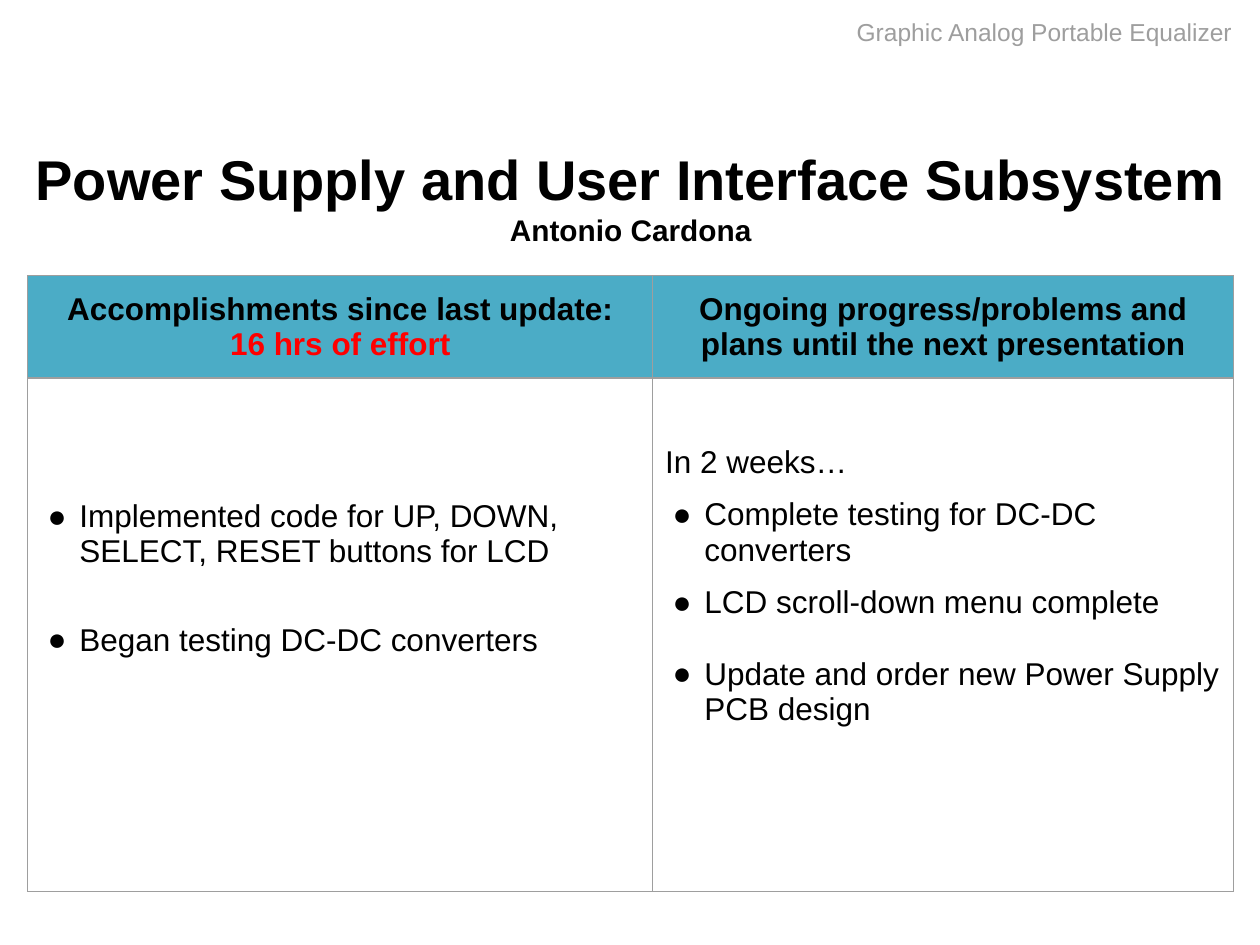
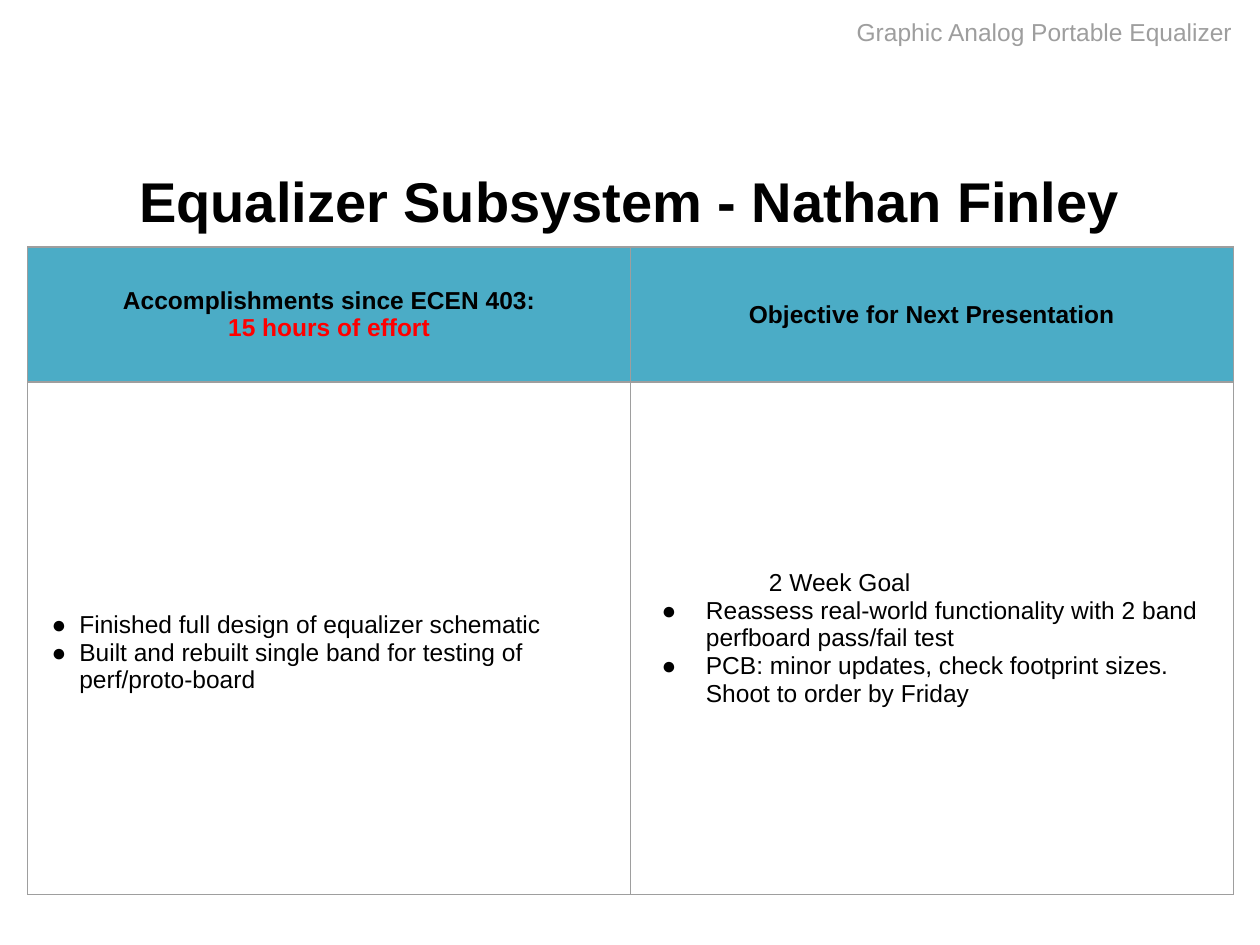
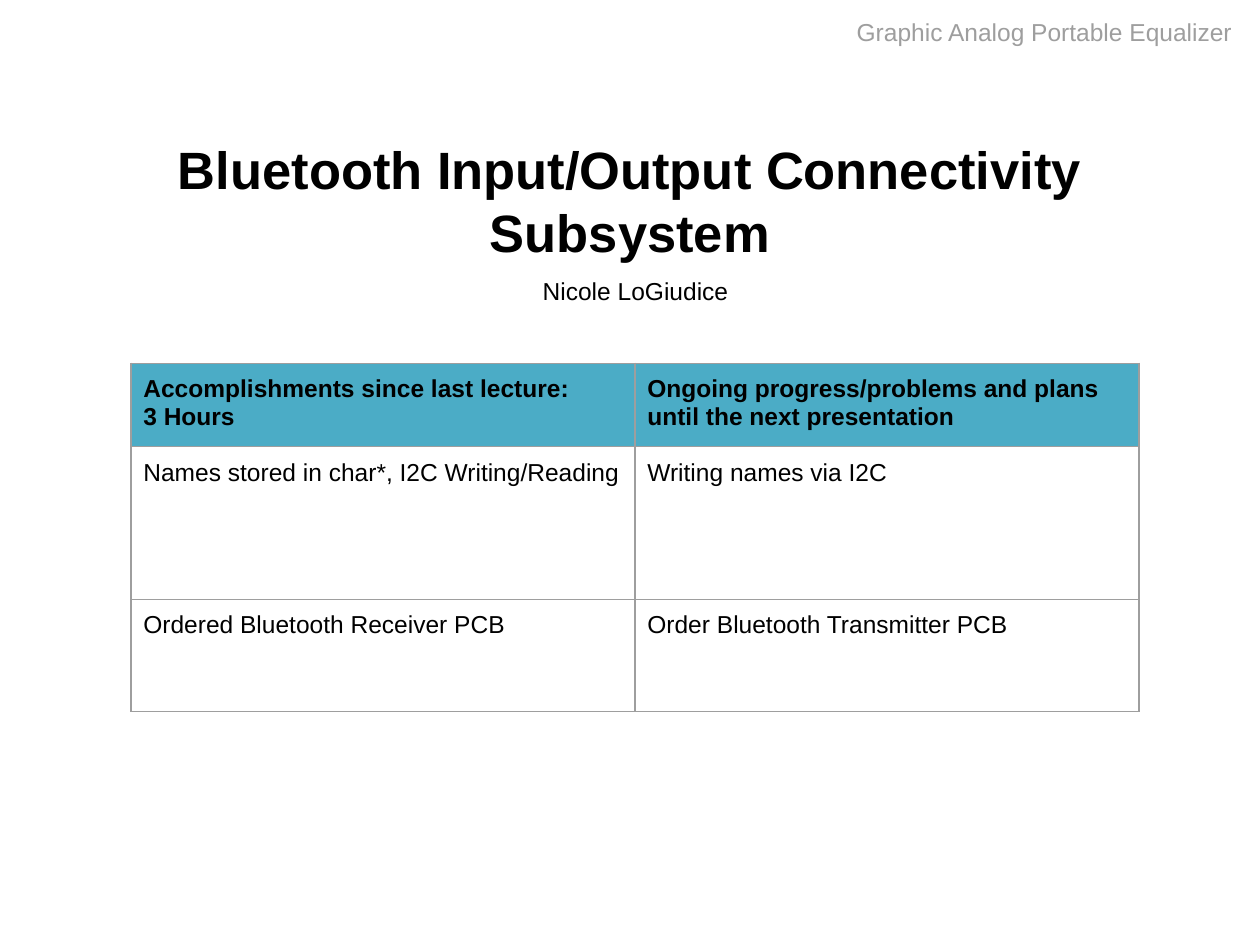
"""Builds the three subsystem progress slides of the equalizer project."""
from lxml.etree import SubElement
from pptx import Presentation
from pptx.dml.color import RGBColor
from pptx.enum.text import MSO_ANCHOR as Anchor, PP_ALIGN as Align
from pptx.oxml.ns import qn
from pptx.util import Cm, Pt

FONT = "Arial"
BLACK, GRAY, RED, TEAL = "000000", "9E9E9E", "FF0000", "4BACC6"
PROJECT = "Graphic Analog Portable Equalizer"
PAD = 0.25
WIDE = dict(left=0.79, hang=0.64, bullet=True)
TIGHT = dict(left=0.79, hang=0.56, bullet=True)
DEEP = dict(left=1.27, hang=0.89, bullet=True)

SLIDES = [
    dict(
        title=["Power Supply and User Interface Subsystem",
               ("Antonio Cardona", dict(size=17))],
        title_at=(0.46, 2.84, 24.51, 2.24), title_size=32,
        table_at=(0.56, 5.56), cols=[12.6, 11.71], rows=[2.06, 10.36],
        size=18, head=dict(align=Align.CENTER, anchor=Anchor.MIDDLE),
        body=dict(anchor=Anchor.TOP), tops=[2.43, 1.34],
        cells=[
            [["Accomplishments since last update:",
              ("16 hrs of effort", dict(color=RED))],
             ["Ongoing progress/problems and plans until the next presentation"]],
            [[("Implemented code for UP, DOWN, SELECT, RESET buttons for LCD", WIDE),
              ("Began testing DC-DC converters", dict(WIDE, before=30.5))],
             ["In 2 weeks…",
              ("Complete testing for DC-DC converters", dict(WIDE, before=10)),
              ("LCD scroll-down menu complete", dict(WIDE, before=10)),
              ("Update and order new Power Supply PCB design",
               dict(WIDE, before=20.5))]],
        ],
    ),
    dict(
        title=["Equalizer Subsystem - Nathan Finley"],
        title_at=(1.27, 2.92, 22.86, 2.24), title_size=32,
        table_at=(0.56, 4.98), cols=[12.15, 12.15], rows=[2.72, 10.34],
        size=14, head=dict(align=Align.CENTER, anchor=Anchor.MIDDLE),
        body=dict(anchor=Anchor.MIDDLE), tops=[0.82, PAD],
        cells=[
            [["Accomplishments since ECEN 403:",
              ("15 hours of effort", dict(color=RED))],
             ["Objective for Next Presentation"]],
            [[("Finished full design of equalizer schematic", TIGHT),
              ("Built and rebuilt single band for testing of perf/proto-board", TIGHT)],
             [("2 Week Goal", dict(left=2.54)),
              ("Reassess real-world functionality with 2 band perfboard pass/fail test",
               DEEP),
              ("PCB: minor updates, check footprint sizes. Shoot to order by Friday",
               DEEP)]],
        ],
    ),
    dict(
        title=["Bluetooth Input/Output Connectivity Subsystem"],
        title_at=(1.27, 2.92, 22.86, 2.24), title_size=30,
        author="Nicole LoGiudice", author_at=(10.69, 5.31, 6.12, 1.12),
        table_at=(2.64, 7.32), cols=[10.16, 10.16], rows=[1.47, 3.07, 2.26],
        size=14, head=dict(anchor=Anchor.TOP),
        body=dict(anchor=Anchor.TOP), tops=[PAD, PAD],
        cells=[
            [["Accomplishments since last lecture:", "3 Hours"],
             ["Ongoing progress/problems and plans until the next presentation"]],
            [["Names stored in char*, I2C Writing/Reading"],
             ["Writing names via I2C"]],
            [["Ordered Bluetooth Receiver PCB"],
             ["Order Bluetooth Transmitter PCB"]],
        ],
    ),
]


def rgb(color):
    return RGBColor.from_string(color)


def write_line(p, text, size=14, color=BLACK, bold=False, align=Align.LEFT,
               before=0, left=0, hang=0, bullet=False):
    pPr = p._p.get_or_add_pPr()
    pPr.set("marL", str(Cm(left)))
    pPr.set("indent", str(-Cm(hang)))
    if bullet:
        SubElement(SubElement(pPr, qn("a:buClr")), qn("a:srgbClr"), val=BLACK)
        SubElement(pPr, qn("a:buFont"), typeface=FONT)
        SubElement(pPr, qn("a:buChar"), char="●")
    p.alignment = align
    p.space_before = Pt(before)
    r = p.add_run()
    r.text = text
    r.font.name, r.font.size, r.font.bold = FONT, Pt(size), bold
    r.font.color.rgb = rgb(color)


def write(tf, lines, **fmt):
    for i, line in enumerate(lines):
        text, own = (line, {}) if isinstance(line, str) else line
        p = tf.add_paragraph() if i else tf.paragraphs[0]
        write_line(p, text, **{**fmt, **own})


def add_text(s, at, lines, anchor=Anchor.TOP, pad=PAD, **fmt):
    tf = s.shapes.add_textbox(*map(Cm, at)).text_frame
    tf.word_wrap, tf.vertical_anchor = True, anchor
    tf.margin_left = tf.margin_right = Cm(PAD)
    tf.margin_top = tf.margin_bottom = Cm(pad)
    write(tf, lines, **fmt)


def style_cell(cell, fill, anchor, top):
    cell.vertical_anchor = anchor
    cell.margin_left = cell.margin_right = cell.margin_bottom = Cm(PAD)
    cell.margin_top = Cm(top)
    tcPr = cell._tc.get_or_add_tcPr()
    for side in ("a:lnL", "a:lnR", "a:lnT", "a:lnB"):
        ln = SubElement(tcPr, qn(side), w=str(Pt(0.75)))
        SubElement(SubElement(ln, qn("a:solidFill")), qn("a:srgbClr"), val=GRAY)
    if fill:
        cell.fill.solid()
        cell.fill.fore_color.rgb = rgb(fill)
    else:
        cell.fill.background()


def add_progress_table(s, d):
    cols, rows = d["cols"], d["rows"]
    at = (*d["table_at"], sum(cols), sum(rows))
    table = s.shapes.add_table(len(rows), len(cols), *map(Cm, at)).table
    table.first_row = table.horz_banding = False
    for col, width in zip(table.columns, cols):
        col.width = Cm(width)
    for i, (row, height) in enumerate(zip(table.rows, rows)):
        row.height = Cm(height)
        is_head = i == 0
        look = d["head"] if is_head else d["body"]
        for j, cell in enumerate(row.cells):
            style_cell(cell, TEAL if is_head else None, look["anchor"],
                       PAD if is_head else d["tops"][j])
            write(cell.text_frame, d["cells"][i][j], size=d["size"],
                  bold=is_head, align=look.get("align", Align.LEFT))


def main():
    prs = Presentation()
    prs.slide_width, prs.slide_height = Cm(25.4), Cm(19.05)
    for d in SLIDES:
        s = prs.slides.add_slide(prs.slide_layouts[6])
        add_text(s, d["title_at"], d["title"], anchor=Anchor.MIDDLE, pad=0.13,
                 size=d["title_size"], bold=True, align=Align.CENTER)
        add_progress_table(s, d)
        if "author" in d:
            add_text(s, d["author_at"], [d["author"]])
        add_text(s, (17.02, 0.1, 8.15, 1.12), [PROJECT], color=GRAY)
    prs.save("out.pptx")


if __name__ == "__main__":
    main()
